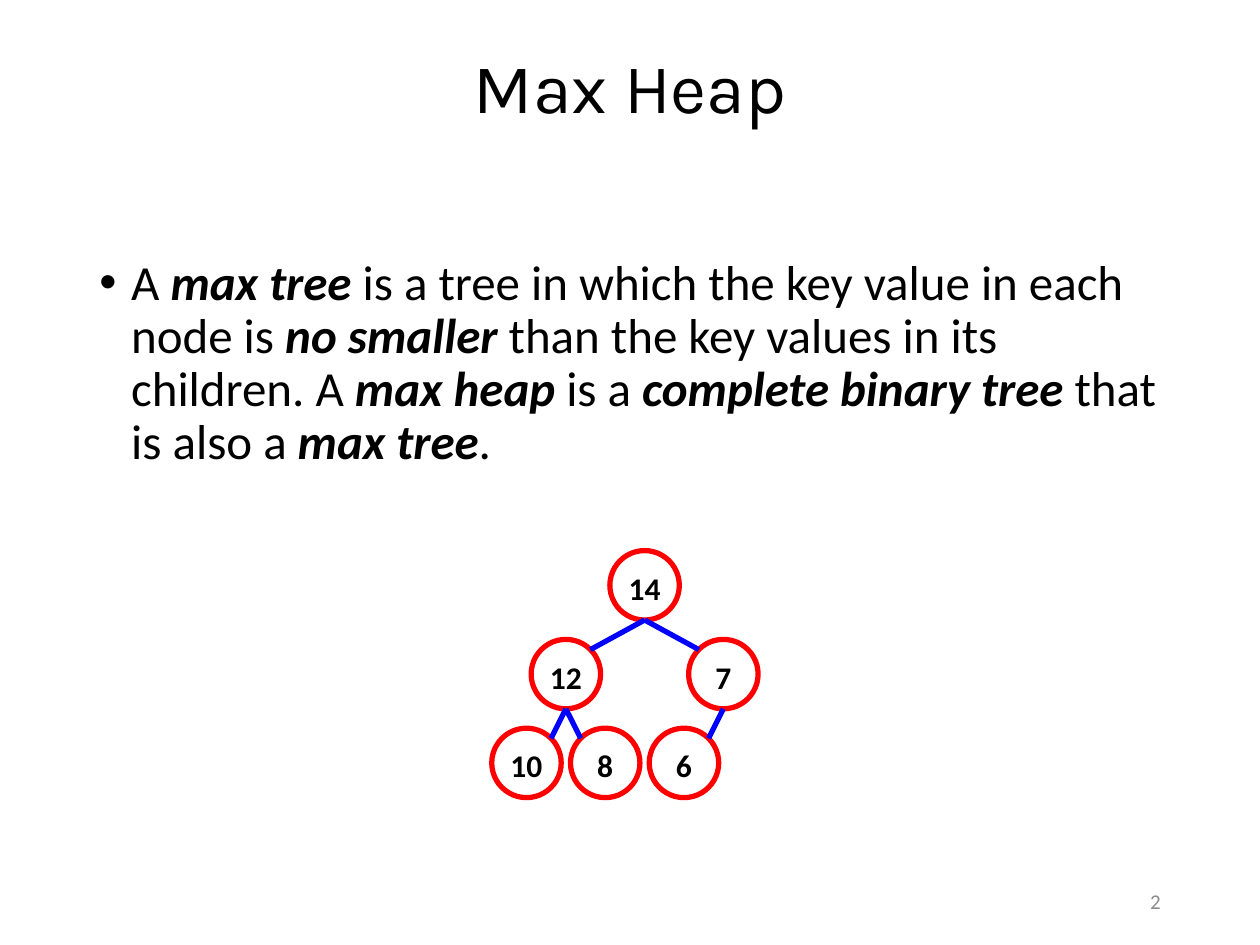
import math
from lxml import etree
from pptx import Presentation
from pptx.dml.color import RGBColor
from pptx.enum import shapes, text
from pptx.oxml import ns
from pptx.util import Cm, Pt

COLORS = {"text": "000000", "node": "FF0000", "edge": "0000FF", "number": "8C8C8C"}
TITLE = {"name": "Karla", "size": Pt(40), "bold": False}
BODY = {"name": "Calibri", "size": Pt(28)}
KEY = {"name": "Calibri", "size": Pt(18), "bold": True}
NUMBER = {"name": "Calibri", "size": Pt(12)}


def rgb(name):
    return RGBColor.from_string(COLORS[name])


def add_run(p, words, fmt, color="text"):
    r = p.add_run()
    r.text = words
    for attr, value in fmt.items():
        setattr(r.font, attr, value)
    r.font.color.rgb = rgb(color)


def place(sp, box):
    sp.left, sp.top, sp.width, sp.height = (Cm(v) for v in box)


def add_title(s, box, words):
    sp = s.shapes.title
    place(sp, box)
    sp.text_frame.vertical_anchor = text.MSO_ANCHOR.MIDDLE
    p = sp.text_frame.paragraphs[0]
    p.alignment, p.line_spacing = text.PP_ALIGN.CENTER, 0.9
    add_run(p, words, TITLE)


def add_body(s, box, parts):
    """Every second part is emphasised."""
    sp = s.placeholders[1]
    place(sp, box)
    p = sp.text_frame.paragraphs[0]
    p.line_spacing, p.space_before = 0.9, Pt(10)
    pPr = p._p.get_or_add_pPr()
    pPr.set("marL", str(Cm(0.64)))
    pPr.set("indent", str(-Cm(0.64)))
    for i, words in enumerate(parts):
        strong = i % 2 == 1
        add_run(p, words, {**BODY, "bold": strong, "italic": strong})


def add_node(group, x, y, d, key):
    sp = group.shapes.add_shape(shapes.MSO_SHAPE.OVAL, Cm(x - d / 2), Cm(y - d / 2), Cm(d), Cm(d))
    sp.shadow.inherit = False
    sp.fill.background()
    sp.line.color.rgb, sp.line.width = rgb("node"), Pt(3)
    tf = sp.text_frame
    tf.word_wrap = False
    tf.vertical_anchor = text.MSO_ANCHOR.MIDDLE
    for side, inset in {"left": 0, "right": 0, "top": 0.1, "bottom": 0}.items():
        setattr(tf, "margin_" + side, Cm(inset))
    p = tf.paragraphs[0]
    p.alignment = text.PP_ALIGN.CENTER
    add_run(p, str(key), KEY)


def add_edge(group, start, end):
    line = group.shapes.add_connector(
        shapes.MSO_CONNECTOR.STRAIGHT, *(Cm(v) for v in (*start, *end)))
    line.line.color.rgb, line.line.width = rgb("edge"), Pt(3)
    etree.SubElement(line._element.spPr, ns.qn("a:effectLst"))


def add_heap(s, box, keys, d=1.4):
    """Place an array heap as a binary tree, level by level."""
    left, top, width, height = box
    group = s.shapes.add_group_shape()
    depth = int(math.log2(len(keys)))
    centers = []
    for i in range(len(keys)):
        level = int(math.log2(i + 1))
        slots = 2 ** level
        x = left + width * (i + 1 - slots + 0.5) / slots
        y = top + d / 2 + level * (height - d) / depth
        centers.append((x, y))
    for (x, y), key in zip(centers, keys):
        add_node(group, x, y, d, key)
    # Edges run from a child's inner shoulder to its parent's foot
    reach = d / 2 * math.sqrt(0.5)
    for i, (x, y) in enumerate(centers[1:], 1):
        px, py = centers[(i - 1) // 2]
        add_edge(group, (x + math.copysign(reach, px - x), y - reach), (px, py + d / 2))


def add_number(s, box, words):
    tf = s.shapes.add_textbox(*(Cm(v) for v in box)).text_frame
    tf.word_wrap = True
    tf.vertical_anchor = text.MSO_ANCHOR.MIDDLE
    p = tf.paragraphs[0]
    p.alignment = text.PP_ALIGN.RIGHT
    add_run(p, words, NUMBER, "number")


prs = Presentation()
prs.slide_width, prs.slide_height = Cm(25.4), Cm(19.05)
s = prs.slides.add_slide(prs.slide_layouts[1])

# Title and definition
add_title(s, (1.75, 0, 21.9, 3.68), "Max Heap")
add_body(s, (1.75, 5.08, 21.9, 12.09), [
    "A ", "max tree", " is a tree in which the key value in each node is ",
    "no smaller", " than the key values in its children. A ", "max heap ",
    "is a ", "complete binary tree ", "that is also a ", "max tree", "."])

# Example heap
add_heap(s, (9.82, 11.1, 6.35, 4.98), [14, 12, 7, 10, 8, 6])

# Slide number
add_number(s, (17.94, 17.66, 5.71, 1.01), "2")

prs.save("out.pptx")
